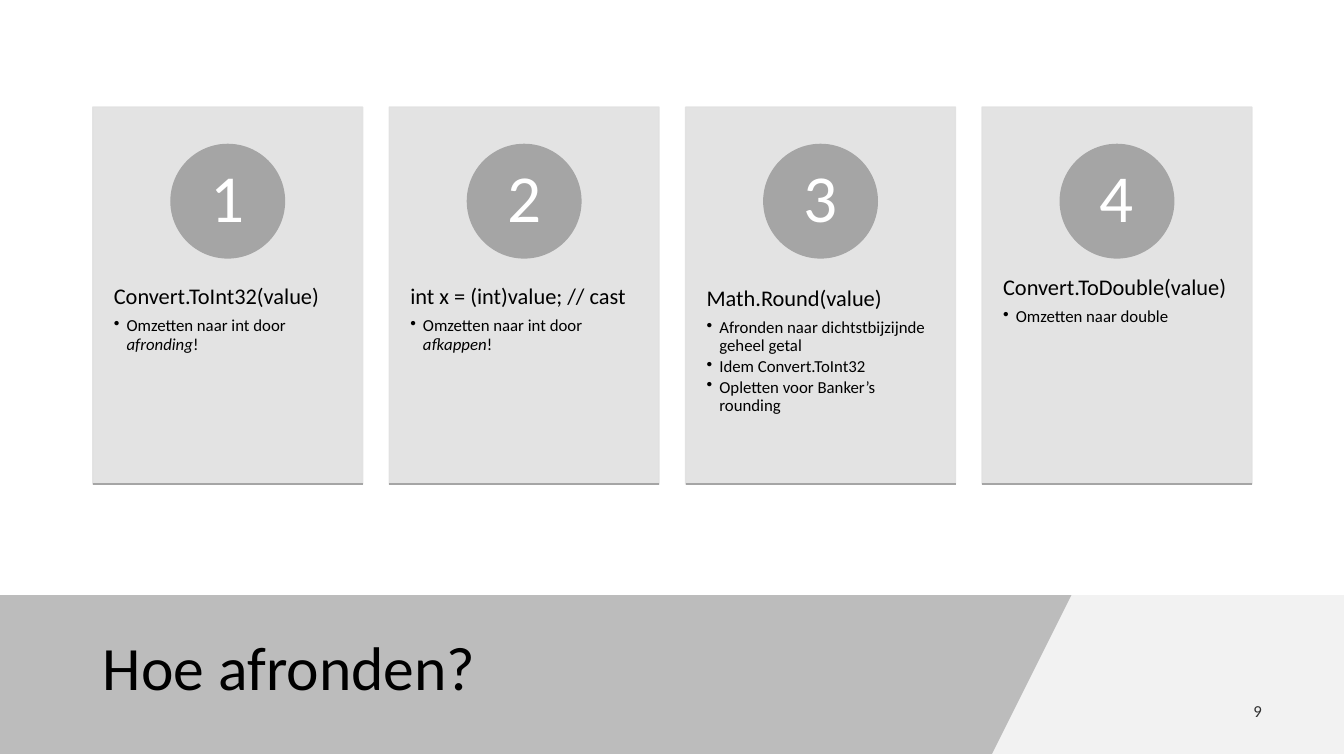
import pptx
import pptx.dml.color
import pptx.enum.shapes
import pptx.enum.text
import pptx.oxml.ns
import pptx.util
from lxml import etree

Cm = pptx.util.Cm
Pt = pptx.util.Pt
RGBColor = pptx.dml.color.RGBColor
MSO_SHAPE = pptx.enum.shapes.MSO_SHAPE
MSO_ANCHOR = pptx.enum.text.MSO_ANCHOR
PP_ALIGN = pptx.enum.text.PP_ALIGN
qn = pptx.oxml.ns.qn

TITLE = "Hoe afronden?"
PAGE = "9"
CARDS = [
    ("Convert.ToInt32(value)",
     [[("Omzetten naar int door ", False), ("afronding", True), ("!", False)]]),
    ("int x = (int)value; // cast",
     [[("Omzetten naar int door ", False), ("afkappen", True), ("!", False)]]),
    ("Math.Round(value)",
     [[("Afronden naar dichtstbijzijnde geheel getal", False)],
      [("Idem Convert.ToInt32", False)],
      [("Opletten voor Banker’s rounding", False)]]),
    ("Convert.ToDouble(value)",
     [[("Omzetten naar double", False)]]),
]

FONT = "Calibri"
BLACK = RGBColor(0x00, 0x00, 0x00)
WHITE = RGBColor(0xFF, 0xFF, 0xFF)
CARD_GREY = RGBColor(0xE1, 0xE1, 0xE1)
ACCENT_GREY = RGBColor(0xA5, 0xA5, 0xA5)
BAND_GREY = RGBColor(0x59, 0x59, 0x59)
CORNER_GREY = RGBColor(0xF2, 0xF2, 0xF2)

SLIDE_W, SLIDE_H = 33.87, 19.05
BAND_TOP = 14.91
CORNER = [(26.95, BAND_TOP), (SLIDE_W, BAND_TOP), (SLIDE_W, SLIDE_H), (25.04, SLIDE_H)]
BAND = [(0, BAND_TOP), (26.57, BAND_TOP), (24.66, SLIDE_H), (0, SLIDE_H)]

CARD_LEFT, CARD_TOP, CARD_W, CARD_H = 2.34, 2.7, 6.8, 9.5
CARD_PITCH = 7.47
CIRCLE_TOP, CIRCLE_D = 3.64, 2.86
TEXT_TOP, TEXT_H = 6.33, 5.71


def fade(element, percent):
    for color in element.iter(qn("a:srgbClr")):
        etree.SubElement(color, qn("a:alpha")).set("val", str(percent * 1000))


def style(sp, fill, line=None):
    sp.shadow.inherit = False
    sp.fill.solid()
    sp.fill.fore_color.rgb = fill
    if line is None:
        sp.line.fill.background()
    else:
        sp.line.color.rgb = line
        sp.line.width = Pt(1)


def add_polygon(points, fill):
    builder = slide.shapes.build_freeform(*points[0], scale=Cm(1))
    builder.add_line_segments(points[1:], close=True)
    sp = builder.convert_to_shape()
    style(sp, fill)
    return sp


def set_insets(tf, side, end):
    tf.margin_left = tf.margin_right = Cm(side)
    tf.margin_top = tf.margin_bottom = Cm(end)


def add_text(left, top, width, height, anchor):
    tf = slide.shapes.add_textbox(Cm(left), Cm(top), Cm(width), Cm(height)).text_frame
    tf.word_wrap = True
    tf.vertical_anchor = anchor
    return tf


def format_runs(p, size, color):
    for r in p.runs:
        r.font.name = FONT
        r.font.size = Pt(size)
        r.font.color.rgb = color


def add_bullet(tf, parts):
    p = tf.add_paragraph()
    p.level = 1
    pPr = p._p.get_or_add_pPr()
    pPr.set("marL", str(Cm(0.32)))
    pPr.set("indent", str(-Cm(0.32)))
    etree.SubElement(pPr, qn("a:buChar")).set("char", "•")
    p.line_spacing = 0.9
    p.space_after = Pt(1.8)
    for text, italic in parts:
        r = p.add_run()
        r.text = text
        r.font.italic = italic
    format_runs(p, 12, BLACK)


def add_card(index, heading, bullets):
    left = CARD_LEFT + index * CARD_PITCH

    card = slide.shapes.add_shape(
        MSO_SHAPE.RECTANGLE, Cm(left), Cm(CARD_TOP), Cm(CARD_W), Cm(CARD_H))
    style(card, CARD_GREY, CARD_GREY)
    fade(card._element.spPr, 90)

    tf = add_text(left, TEXT_TOP, CARD_W, TEXT_H, MSO_ANCHOR.TOP)
    set_insets(tf, 0.53, 0.91)
    p = tf.paragraphs[0]
    p.text = heading
    p.line_spacing = 0.9
    p.space_after = Pt(5.6)
    format_runs(p, 16, BLACK)
    for parts in bullets:
        add_bullet(tf, parts)

    circle = slide.shapes.add_shape(
        MSO_SHAPE.OVAL, Cm(left + (CARD_W - CIRCLE_D) / 2), Cm(CIRCLE_TOP),
        Cm(CIRCLE_D), Cm(CIRCLE_D))
    style(circle, ACCENT_GREY, ACCENT_GREY)
    tf = circle.text_frame
    set_insets(tf, 0.23, 0.03)
    tf.vertical_anchor = MSO_ANCHOR.MIDDLE
    tf.text = str(index + 1)
    p = tf.paragraphs[0]
    p.alignment = PP_ALIGN.CENTER
    p.line_spacing = 0.9
    format_runs(p, 48, WHITE)

    bottom = Cm(CARD_TOP + CARD_H)
    rule = slide.shapes.add_connector(
        pptx.enum.shapes.MSO_CONNECTOR.STRAIGHT, Cm(left), bottom, Cm(left + CARD_W), bottom)
    rule.line.color.rgb = ACCENT_GREY
    rule.line.width = Pt(1)
    etree.SubElement(rule._element.spPr, qn("a:effectLst"))


prs = pptx.Presentation()
prs.slide_width = Cm(SLIDE_W)
prs.slide_height = Cm(SLIDE_H)
slide = prs.slides.add_slide(prs.slide_layouts[6])

add_polygon(CORNER, CORNER_GREY)
fade(add_polygon(BAND, BAND_GREY)._element.spPr, 40)

tf = add_text(2.34, 15.37, 22.43, 3.05, MSO_ANCHOR.MIDDLE)
tf.text = TITLE
tf.paragraphs[0].line_spacing = 0.9
format_runs(tf.paragraphs[0], 44, BLACK)

tf = add_text(28.32, 17.4, 3.73, 1.02, MSO_ANCHOR.MIDDLE)
tf.text = PAGE
p = tf.paragraphs[0]
p.alignment = PP_ALIGN.RIGHT
p.space_after = Pt(6)
format_runs(p, 12, BLACK)
fade(p._p, 80)

for index, (heading, bullets) in enumerate(CARDS):
    add_card(index, heading, bullets)

prs.save("out.pptx")
